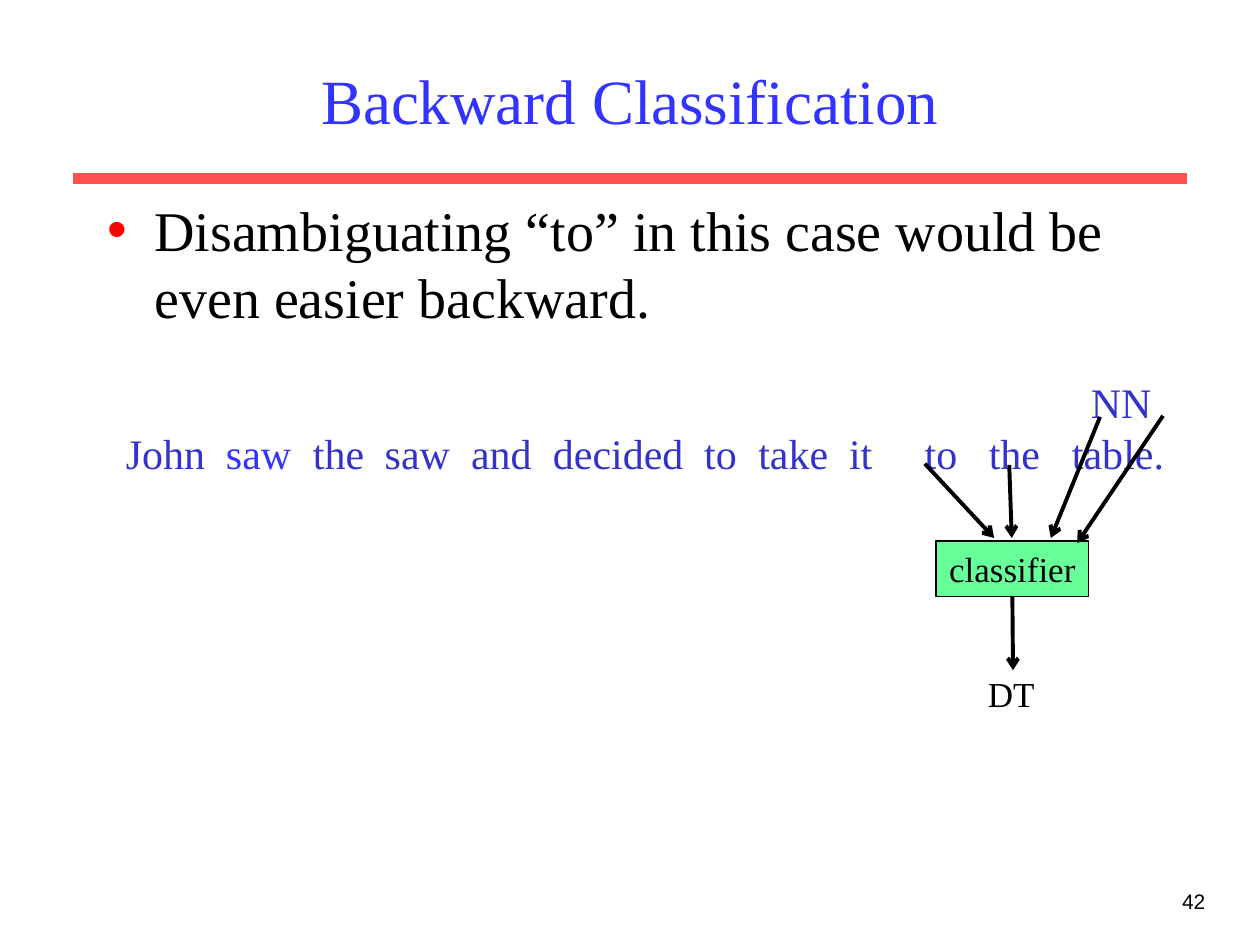
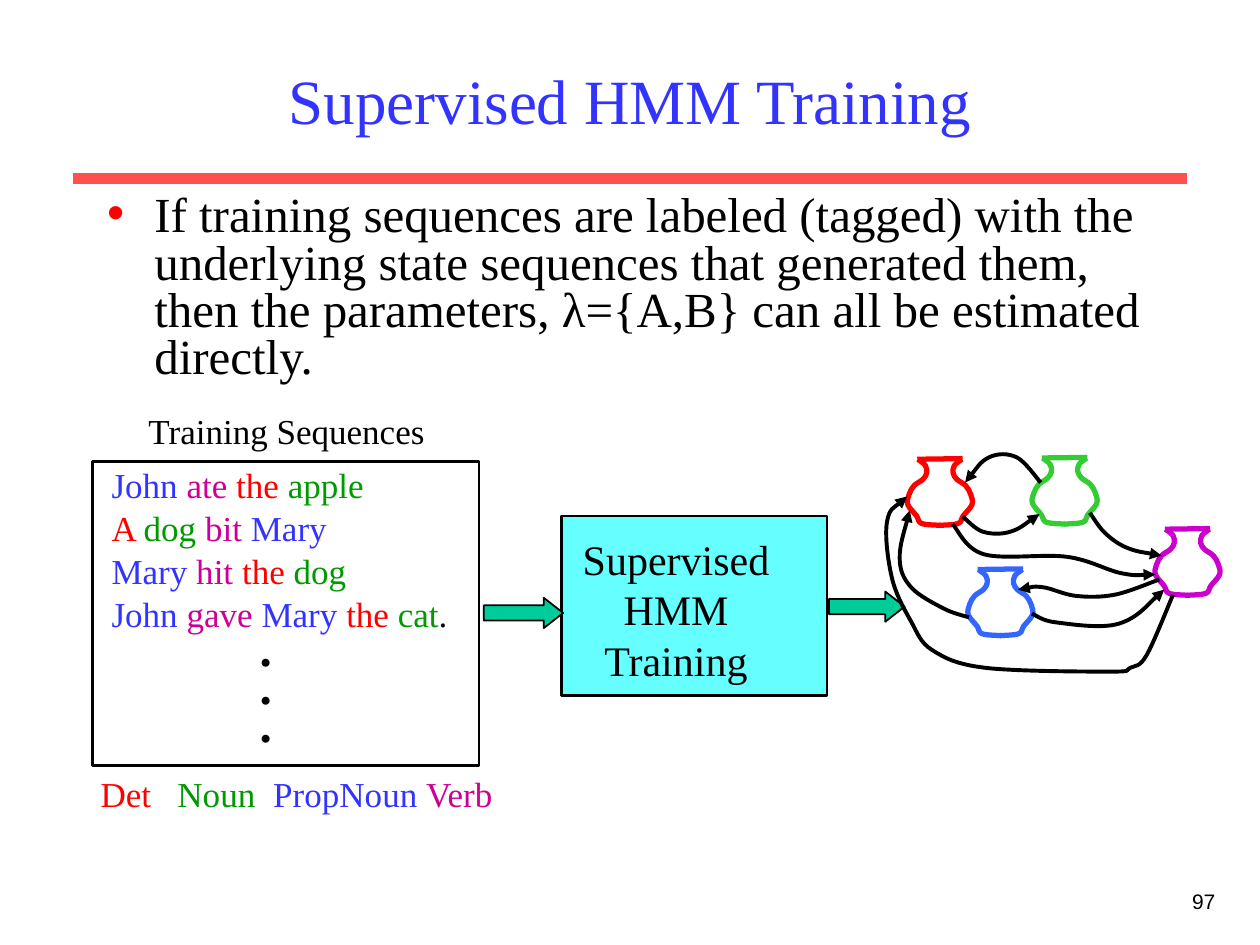
import pptx
import pptx.util
import pptx.dml.color
import pptx.enum.text
import pptx.enum.shapes
import pptx.oxml.ns
import lxml.etree

Pt = pptx.util.Pt
qn = pptx.oxml.ns.qn
align = pptx.enum.text.PP_ALIGN
kind = pptx.enum.shapes.MSO_SHAPE
straight = pptx.enum.shapes.MSO_CONNECTOR.STRAIGHT

hues = {
    "black": "000000", "title": "3333FF", "rule": "FF5050", "word": "3333CC",
    "mint": "66FF99", "aqua": "66FFFF", "teal": "00CC99",
    "det": "FF0000", "noun": "009900", "prop": "3333FF", "verb": "CC0099",
    "red": "FF0000", "green": "33CC33", "plum": "CC00CC", "blue": "3366FF",
}
hues = {name: pptx.dml.color.RGBColor.from_string(code) for name, code in hues.items()}
serif = "Times New Roman"

deck = pptx.Presentation()
deck.slide_width = pptx.util.Inches(10)
deck.slide_height = pptx.util.Inches(7.5)
# All places are on a grid of 100 columns by 75 rows of square cells
cell = deck.slide_width // 100


def write(shape, rows, size, side=align.LEFT, wrap=True, font=serif, gap=0, lead=None, tabs=()):
    """Fill a shape with rows, each a list of (text, hue) runs."""
    frame = shape.text_frame
    frame.word_wrap = wrap
    frame.auto_size = pptx.enum.text.MSO_AUTO_SIZE.NONE
    for i, row in enumerate(rows):
        para = frame.add_paragraph() if i else frame.paragraphs[0]
        para.alignment = side
        para.space_before = Pt(gap if i else 0)
        para.line_spacing = lead
        if tabs:
            stops = lxml.etree.SubElement(para._p.get_or_add_pPr(), qn("a:tabLst"))
            for stop in tabs:
                lxml.etree.SubElement(stops, qn("a:tab"), pos=str(int(stop * cell)), algn="l")
        for words, hue in row:
            run = para.add_run()
            run.text = words
            run.font.name = font
            run.font.size = Pt(size)
            run.font.color.rgb = hues[hue]


def ink(shape, hue, width, head=None):
    """Set the outline and arrowhead, and drop the shadow."""
    shape.line.color.rgb = hues[hue]
    shape.line.width = Pt(width)
    frame = shape._element.spPr
    if head:
        lxml.etree.SubElement(frame.find(qn("a:ln")), qn("a:tailEnd"), type=head)
    lxml.etree.SubElement(frame, qn("a:effectLst"))


# Shared parts: title, bullet, rule and page number
pages = []
for title, point, size, lead, rows, number, left in [
    ("Backward Classification",
     "Disambiguating “to” in this case would be even easier backward.",
     32, None, 51.3, "42", 75.85),
    ("Supervised HMM Training",
     "If training sequences are labeled (tagged) with the underlying state sequences "
     "that generated them, then the parameters, λ={A,B} can all be estimated directly.",
     28, 0.8, 20.1, "97", 76.65),
]:
    page = deck.slides.add_slide(deck.slide_layouts[1])
    pages.append(page)
    rule = page.shapes.add_connector(
        straight, *[int(v * cell) for v in (5.83, 14.17, 94.17, 14.17)])
    ink(rule, "rule", 6)
    head, body = page.placeholders
    for box, top, tall in [(head, 2.5, 10.8), (body, 15, rows)]:
        box.left, box.top, box.width, box.height = [int(v * cell) for v in (7.5, top, 85, tall)]
    head.text_frame.vertical_anchor = pptx.enum.text.MSO_ANCHOR.MIDDLE
    write(head, [[(title, "title")]], 36, align.CENTER)
    write(body, [[(point, "black")]], size, lead=lead)
    look = body.text_frame.paragraphs[0]._p.get_or_add_pPr()
    look.set("marL", str(int(3.75 * cell)))
    look.set("indent", str(int(-3.75 * cell)))
    tint = lxml.etree.SubElement(look, qn("a:buClr"))
    lxml.etree.SubElement(tint, qn("a:srgbClr"), val=str(hues["red"]))
    lxml.etree.SubElement(look, qn("a:buChar"), char="•")
    foot = page.shapes.add_textbox(*[int(v * cell) for v in (left, 70, 20.8, 5)])
    write(foot, [[(number, "black")]], 12, align.RIGHT, font="Arial")
first, second = pages

# Boxes and block arrows of both slides
blocks = []
for page, form, place, fill, width in [
    (first, kind.RECTANGLE, (74.3, 42.95, 12.1, 4.4), "mint", 1),
    (second, kind.RECTANGLE, (44.55, 40.95, 21.1, 14.25), "aqua", 1.5),
    (second, kind.RECTANGLE, (7.33, 36.65, 30.7, 24.1), None, 1.5),
    (second, kind.RIGHT_ARROW, (38.4, 47.45, 6.3, 2.4), "teal", 1),
    (second, kind.RIGHT_ARROW, (65.8, 46.95, 6, 2.4), "teal", 1),
]:
    block = page.shapes.add_shape(form, *[int(v * cell) for v in place])
    ink(block, "black", width)
    if fill:
        block.fill.solid()
        block.fill.fore_color.rgb = hues[fill]
    else:
        block.fill.background()
    if form == kind.RIGHT_ARROW:
        block.adjustments[1] = 0.64
    blocks.append(block)

# Slide 1: tagged sentence, the tag sits over the last word
words = first.shapes.add_textbox(*[int(v * cell) for v in (9, 29.4, 85, 9)])
write(words, [
    [("NN", "word")],
    [("John\t", "word"), ("saw", "title"),
     ("\tthe\tsaw\tand\tdecided\tto\ttake\tit\tto\tthe\ttable.", "word")],
], 24, tabs=(7.95, 14.85, 20.55, 27.4, 33.9, 45.9, 50.2, 57.4, 63.4, 68.5, 75.1))
words.text_frame.paragraphs[0]._p.pPr.set("marL", str(int(76.6 * cell)))

# Slide 1: classifier with its inputs and output
write(blocks[0], [[("classifier", "black")]], 20, align.CENTER)
tag = first.shapes.add_textbox(*[int(v * cell) for v in (76.4, 52.85, 7.7, 4.4)])
write(tag, [[("DT", "black")]], 20, align.CENTER)
for ends in [(73.4, 36.8, 78.9, 42.7), (87.3, 33.1, 83.4, 42.7), (92.3, 33, 85.5, 43.1),
             (80.1, 36.9, 80.3, 42.7), (80.2, 47.3, 80.4, 53.2)]:
    link = first.shapes.add_connector(straight, *[int(v * cell) for v in ends])
    ink(link, "black", 2.25, "arrow")
link.begin_connect(blocks[0], 2)

# Slide 2: urns are two mirrored halves and a rim
half = [(0.8, 0), (1.4, 0.5), (1.5, 1.1), (1.2, 1.6), (0.5, 2.1),
        (0.1, 2.8), (0, 3.6), (0.7, 4.5), (1.1, 5.1), (2.6, 5.25)]
curves = []
for x, y, hue in [(76.85, 45.2, "blue"), (81.95, 36.35, "green"),
                  (72.05, 36.45, "red"), (91.7, 42, "plum")]:
    curves.append(([(x + a, y + b) for a, b in half], hue, 3, None))
    curves.append(([(x + 5.1 - a, y + b) for a, b in half], hue, 3, None))
    rim = second.shapes.add_connector(
        straight, *[int(v * cell) for v in (x + 0.75, y, x + 4.35, y - 0.05)])
    ink(rim, hue, 3)

# Slide 2: moves between urns
for knots in [
    [(76.4, 41), (78, 42.2), (80.2, 42.2), (82.5, 40.8)],
    [(86.5, 40.7), (87.7, 42.3), (89.5, 43.5), (92.2, 44.1)],
    [(82.6, 38.3), (80.7, 36.3), (78.5, 36.3), (76.6, 38.3)],
    [(75.6, 41.6), (78.1, 44), (84.7, 44.2), (89, 45.5), (91.7, 45.6)],
    [(81.9, 48.7), (83.8, 49.4), (88.8, 49.5), (92.4, 46.8)],
    [(76.9, 49), (74.9, 48.3), (72.3, 46.6), (71.4, 44.3), (72.2, 40.5)],
    [(93.1, 47.2), (91, 52), (89.7, 53), (88.1, 53.3), (78.2, 53), (74, 51.6),
     (72.3, 49.3), (70.8, 45.9), (70.4, 41.4), (72, 39.4)],
    [(92, 46), (88.5, 47.2), (85.4, 47.3), (82.7, 46.6), (80.8, 46.8)],
]:
    curves.append((knots, "black", 2.25, "triangle"))

# Outline each curve through its knots, then bend the segments
for knots, hue, width, head in curves:
    dots = [(int(x * cell), int(y * cell)) for x, y in knots]
    pen = second.shapes.build_freeform(*dots[0])
    pen.add_line_segments(dots[1:], close=False)
    curve = pen.convert_to_shape()
    curve.fill.background()
    ink(curve, hue, width, head)
    chain = [dots[0]] + dots + [dots[-1]]
    parts = list(curve._element.iter(qn("a:lnTo")))
    for part, p, q, r, s in zip(parts, chain, chain[1:], chain[2:], chain[3:]):
        part.tag = qn("a:cubicBezTo")
        pulls = [[b + (c - a) / 6 for a, b, c in zip(p, q, r)],
                 [c - (d - b) / 6 for b, c, d in zip(q, r, s)]]
        for i, (x, y) in enumerate(pulls):
            bend = lxml.etree.Element(
                qn("a:pt"), x=str(int(x - curve.left)), y=str(int(y - curve.top)))
            part.insert(i, bend)

# Slide 2: texts
for place, rows, size, style in [
    ((45.25, 41.85, 16.8, 13),
     [[(word, "black")] for word in ("Supervised", "HMM", "Training")],
     24, {"side": align.CENTER, "wrap": False}),
    ((7.87, 37.75, 30.5, 22),
     [[("John ", "prop"), ("ate ", "verb"), ("the ", "det"), ("apple", "noun")],
      [("A ", "det"), ("dog ", "noun"), ("bit ", "verb"), ("Mary", "prop")],
      [("Mary", "prop"), (" hit ", "verb"), ("the ", "det"), ("dog", "noun")],
      [("John ", "prop"), ("gave ", "verb"), ("Mary ", "prop"), ("the ", "det"),
       ("cat", "noun"), (".", "black")]],
     20, {"gap": 12.5, "lead": 0.5}),
    ((10.75, 32, 24, 4.4), [[("Training Sequences", "black")]],
     20, {"side": align.CENTER, "wrap": False}),
    ((7, 60.8, 34.1, 4.4),
     [[("Det\t", "det"), ("Noun\t", "noun"), ("PropNoun ", "prop"), ("Verb", "verb")]],
     20, {"tabs": (6.1, 13.7)}),
    ((19.65, 49.97, 2.9, 10.1), [[(".", "black")]] * 3,
     28, {"side": align.CENTER, "wrap": False, "lead": 0.65}),
]:
    box = second.shapes.add_textbox(*[int(v * cell) for v in place])
    write(box, rows, size, **style)
for para in box.text_frame.paragraphs:
    para.runs[0].font.bold = True

deck.save("out.pptx")
